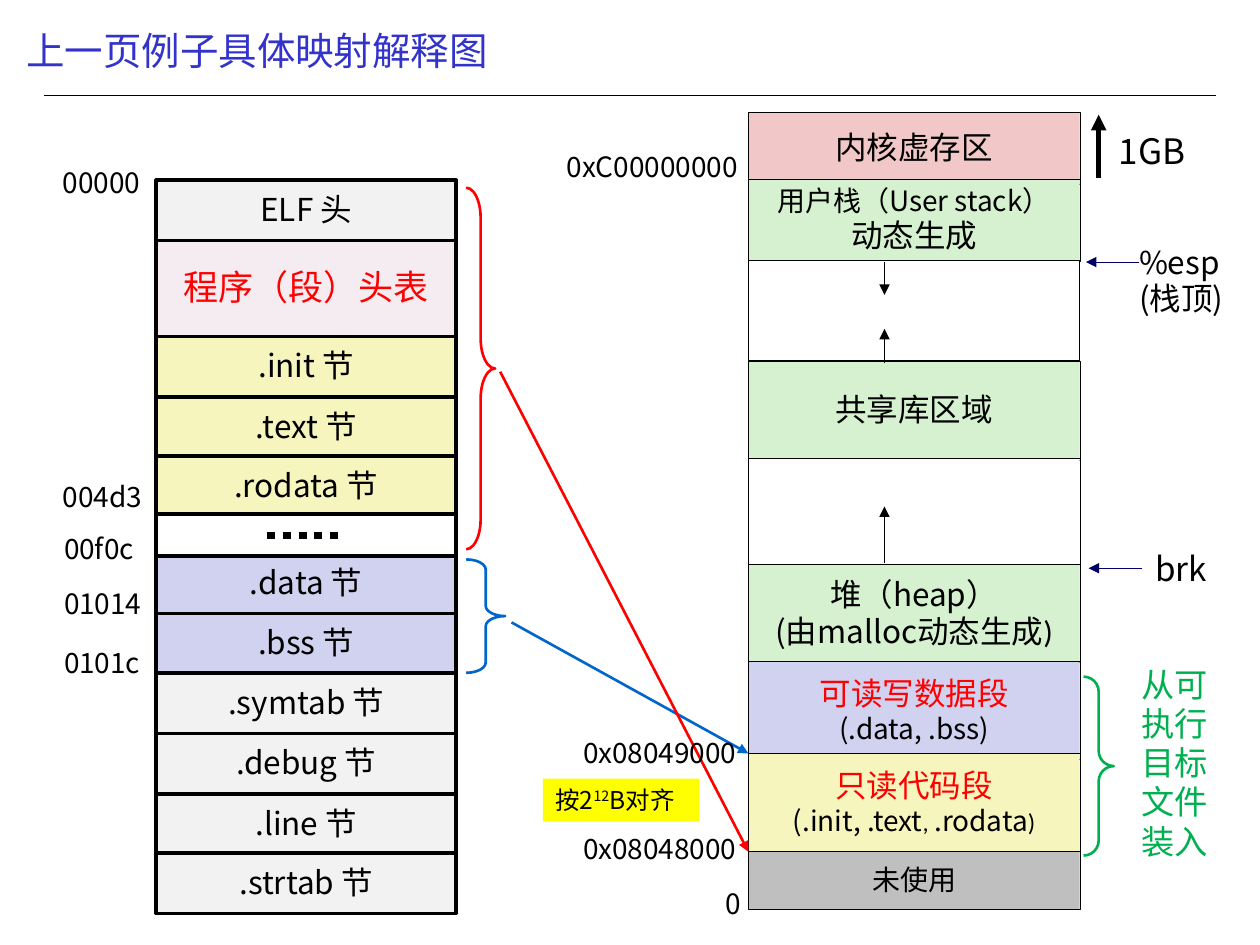
from dataclasses import dataclass

import pptx
import pptx.dml.color
import pptx.enum.dml
import pptx.enum.shapes
import pptx.enum.text
import pptx.oxml.ns
import pptx.util
from lxml import etree

Inches = pptx.util.Inches
Pt = pptx.util.Pt
SANS, LATIN = "Noto Sans CJK SC", "Calibri"
BLACK, WHITE, RED, BLUE, NAVY, GREEN = "000000", "FFFFFF", "FF0000", "0066CC", "000066", "00B050"
GREY, YELLOW, VIOLET, MINT = "F2F2F2", "F6F5BD", "D1D1F0", "D5F1CF"


@dataclass
class Run:
    text: str
    size: float = 18
    color: str = BLACK
    font: str = SANS
    baseline: int = 0


@dataclass
class Block:
    """One rectangle of a memory or file column; lines holds runs by paragraph."""
    top: float
    height: float
    fill: str
    lines: list[list[Run]]
    line_width: float
    opacity: int = 100


@dataclass
class Label:
    left: float
    top: float
    width: float
    height: float
    lines: list[str]
    size: float = 16
    color: str = BLACK
    font: str = SANS
    spacing: float = 0.98
    wrap: bool = True
    side_inset: float = 0.1


@dataclass
class Arrow:
    start: tuple[float, float]
    end: tuple[float, float]
    color: str = BLACK
    width: float = 0.25


@dataclass
class Brace:
    left: float
    top: float
    width: float
    height: float
    curl: float
    color: str


def rgb(color: str) -> pptx.dml.color.RGBColor:
    return pptx.dml.color.RGBColor.from_string(color)


def add_element(parent, tag: str, **attributes: str):
    element = etree.SubElement(parent, pptx.oxml.ns.qn(tag))
    for name, value in attributes.items():
        element.set(name, value)
    return element


def write_run(paragraph, text: str, *, size: float, color: str, font: str = SANS, baseline: int = 0) -> None:
    run = paragraph.add_run()
    run.text = text
    run.font.size = Pt(size)
    run.font.name = font
    run.font.color.rgb = rgb(color)
    properties = run._r.get_or_add_rPr()
    add_element(properties, "a:ea", typeface=SANS)
    if baseline:
        properties.set("baseline", str(baseline * 1000))


def write_lines(shape, lines: list[list[Run]], *, align: str = "LEFT", anchor: str = "TOP",
                spacing: float = 0.98, wrap: bool = False, side_inset: float = 0.1) -> None:
    frame = shape.text_frame
    frame.word_wrap = wrap
    frame.auto_size = pptx.enum.text.MSO_AUTO_SIZE.NONE
    frame.vertical_anchor = pptx.enum.text.MSO_ANCHOR[anchor]
    frame.margin_left = frame.margin_right = Inches(side_inset)
    frame.margin_top = frame.margin_bottom = Inches(0.05)
    for index, runs in enumerate(lines):
        paragraph = frame.add_paragraph() if index else frame.paragraphs[0]
        paragraph.alignment = pptx.enum.text.PP_ALIGN[align]
        paragraph.line_spacing = spacing
        paragraph.space_before = Pt(0)
        for run in runs:
            write_run(paragraph, run.text, size=run.size, color=run.color, font=run.font, baseline=run.baseline)


def add_preset(slide, kind: str, left: float, top: float, width: float, height: float,
               fill: str | None = None, line: str | None = None, line_width: float = 1):
    shape = slide.shapes.add_shape(pptx.enum.shapes.MSO_SHAPE[kind], Inches(left), Inches(top),
                                   Inches(width), Inches(height))
    shape.shadow.inherit = False
    if fill:
        shape.fill.solid()
        shape.fill.fore_color.rgb = rgb(fill)
    else:
        shape.fill.background()
    if line:
        shape.line.color.rgb = rgb(line)
        shape.line.width = Pt(line_width)
    else:
        shape.line.fill.background()
    return shape


def add_block(slide, block: Block, left: float, width: float) -> None:
    shape = add_preset(slide, "RECTANGLE", left, block.top, width, block.height, block.fill, BLACK, block.line_width)
    if block.opacity < 100:
        fill_color = shape._element.spPr.find(".//" + pptx.oxml.ns.qn("a:srgbClr"))
        add_element(fill_color, "a:alpha", val=str(block.opacity * 1000))
    if block.lines:
        write_lines(shape, block.lines, align="CENTER", anchor="MIDDLE")


def add_label(slide, label: Label) -> None:
    box = slide.shapes.add_textbox(Inches(label.left), Inches(label.top), Inches(label.width), Inches(label.height))
    lines = [[Run(text, label.size, label.color, label.font)] for text in label.lines]
    write_lines(box, lines, spacing=label.spacing, wrap=label.wrap, side_inset=label.side_inset)


def add_line(slide, line: Arrow, head: bool = True):
    connector = slide.shapes.add_connector(pptx.enum.shapes.MSO_CONNECTOR.STRAIGHT,
                                           *map(Inches, line.start + line.end))
    connector.line.color.rgb = rgb(line.color)
    connector.line.width = Pt(line.width)
    if head:
        add_element(connector.line._get_or_add_ln(), "a:tailEnd", type="triangle")
    add_element(connector._element.spPr, "a:effectLst")
    return connector


def add_brace(slide, brace: Brace) -> None:
    shape = add_preset(slide, "RIGHT_BRACE", brace.left, brace.top, brace.width, brace.height,
                       line=brace.color, line_width=1.5)
    shape.adjustments[0] = brace.curl
    shape.adjustments[1] = 0.5


def section(top: float, name: str, fill: str, height: float = 0.48) -> Block:
    return Block(top, height, fill, [[Run(name)]], 2)


def region(top: float, height: float, fill: str, *lines: list[Run], line_width: float = 0.25) -> Block:
    return Block(top, height, fill, list(lines), line_width)


def address(left: float, top: float, text: str, width: float = 1.46) -> Label:
    return Label(left, top, width, 0.35, [text], spacing=0.94, wrap=False)


SECTIONS = [
    section(1.43, "ELF 头", GREY),
    Block(1.91, 0.76, "993366", [[Run("程序（段）头表", 20, RED)]], 2, opacity=9),
    section(2.67, ".init 节", YELLOW), section(3.15, ".text 节", YELLOW), section(3.62, ".rodata 节", YELLOW),
    section(4.39, ".data 节", VIOLET), section(4.87, ".bss 节", VIOLET, 0.47),
    section(5.34, ".symtab 节", GREY), section(5.82, ".debug 节", GREY),
    section(6.3, ".line 节", GREY), section(6.77, ".strtab 节", GREY),
    Block(4.08, 0.33, WHITE, [], 2.25),
]
REGIONS = [
    region(0.89, 0.57, "F1C7C7", [Run("内核虚存区")]),
    region(1.42, 0.65, MINT, [Run("用户栈（User stack）", 16)], [Run("动态生成", font=LATIN)]),
    region(2.07, 0.79, WHITE, line_width=0.75),
    region(2.87, 0.78, MINT, [Run("共享库区域")]),
    region(3.64, 0.84, WHITE),
    region(4.48, 0.78, MINT, [Run("堆（heap）")], [Run("(由malloc动态生成"), Run(")", font=LATIN)]),
    region(5.25, 0.78, VIOLET, [Run("可读写数据段", color=RED)], [Run("(.data, .bss)", 16)]),
    region(5.98, 0.78, YELLOW, [Run("只读代码段", color=RED)],
           [Run("(.init, .text", 16), Run(", ", 14, font=LATIN), Run(".rodata", 16), Run(")", 14, font=LATIN)]),
    region(6.76, 0.46, "BFBFBF", [Run("未使用", 16)]),
]
OFFSETS = [(0.4, 1.28, "00000"), (0.4, 3.77, "004d3"), (0.41, 4.18, "00f0c"),
           (0.41, 4.62, "01014"), (0.41, 5.09, "0101c")]
LABELS = [Label(left, top, 1.02, 0.36, [text]) for left, top, text in OFFSETS] + [
    address(4.4, 1.16, "0xC00000000", 1.6), address(4.53, 5.81, "0x08049000"),
    address(4.53, 6.57, "0x08048000"), address(5.66, 7.01, "0", 0.32),
    Label(8.78, 0.98, 0.92, 0.44, ["1GB"], 20, spacing=1),
    Label(9.04, 1.9, 0.8, 0.68, ["%esp", "(栈顶)"], 18, spacing=0.96, side_inset=0),
    Label(9.07, 4.33, 0.61, 0.4, ["brk"], 19, spacing=0.94, wrap=False),
    Label(8.96, 5.24, 0.82, 1.65, ["从可执行目标文件装入"], 19, GREEN, LATIN),
]
ARROWS = [
    Arrow((9.04, 2.08), (8.62, 2.08), NAVY), Arrow((9.06, 4.51), (8.64, 4.51), NAVY),
    Arrow((8.72, 1.41), (8.72, 0.91), width=3),
    Arrow((7.02, 2.08), (7.02, 2.34)), Arrow((7.02, 2.88), (7.02, 2.61)), Arrow((7.02, 4.47), (7.02, 4.02)),
    Arrow((4.06, 4.94), (5.94, 5.98), BLUE, 1.5), Arrow((3.97, 2.95), (5.94, 6.76), RED, 1.5),
]
BRACES = [Brace(8.6, 5.37, 0.24, 1.42, 0.5, GREEN), Brace(3.7, 4.44, 0.31, 0.9, 0.26, BLUE),
          Brace(3.7, 1.49, 0.23, 2.87, 1.04, RED)]


def main() -> None:
    presentation = pptx.Presentation()
    presentation.slide_width, presentation.slide_height = Inches(10), Inches(7.5)
    slide = presentation.slides.add_slide(presentation.slide_layouts[5])

    # Title and rule
    title = slide.shapes.title
    title.left, title.top, title.width, title.height = map(Inches, (0.11, 0.15, 6.31, 0.49))
    write_lines(title, [[Run("上一页例子具体映射解释图", 22, "3333CC")]], spacing=1.05, wrap=True)
    add_line(slide, Arrow((0.35, 0.76), (9.65, 0.76), width=0.75), head=False)

    # Address space on the right, file sections on the left
    for block in REGIONS:
        add_block(slide, block, 5.94, 2.63)
    for block in SECTIONS:
        add_block(slide, block, 1.24, 2.38)
    dots = add_line(slide, Arrow((2.12, 4.25), (2.73, 4.25), width=4.5), head=False)
    dots.line.dash_style = pptx.enum.dml.MSO_LINE.ROUND_DOT

    # Mapping arrows, braces and labels
    for arrow in ARROWS:
        add_line(slide, arrow)
    for brace in BRACES:
        add_brace(slide, brace)
    for label in LABELS:
        add_label(slide, label)

    # Alignment note
    note = add_preset(slide, "RECTANGLE", 4.31, 6.18, 1.24, 0.34, "FFFF00")
    write_lines(note, [[Run("按2", 14), Run("12", 14, baseline=30), Run("B对齐", 14)]], spacing=1)

    presentation.save("out.pptx")


if __name__ == "__main__":
    main()
